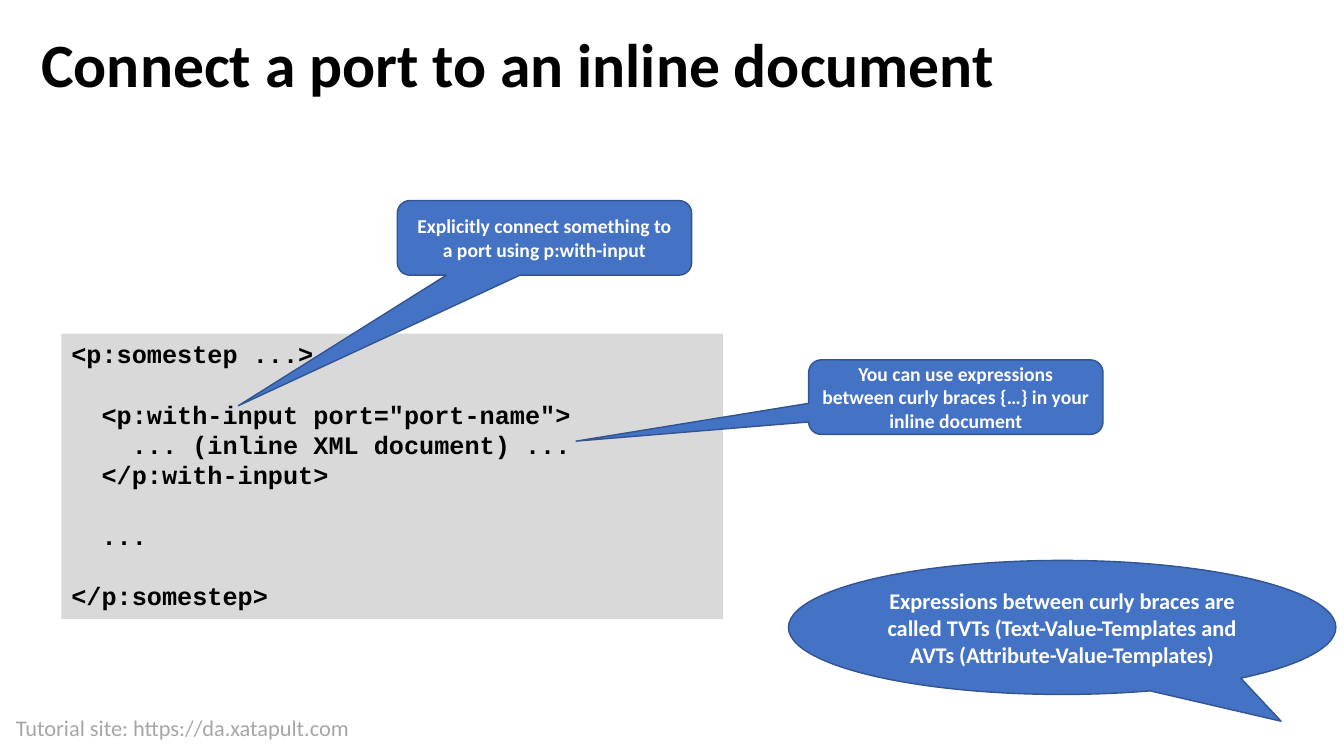
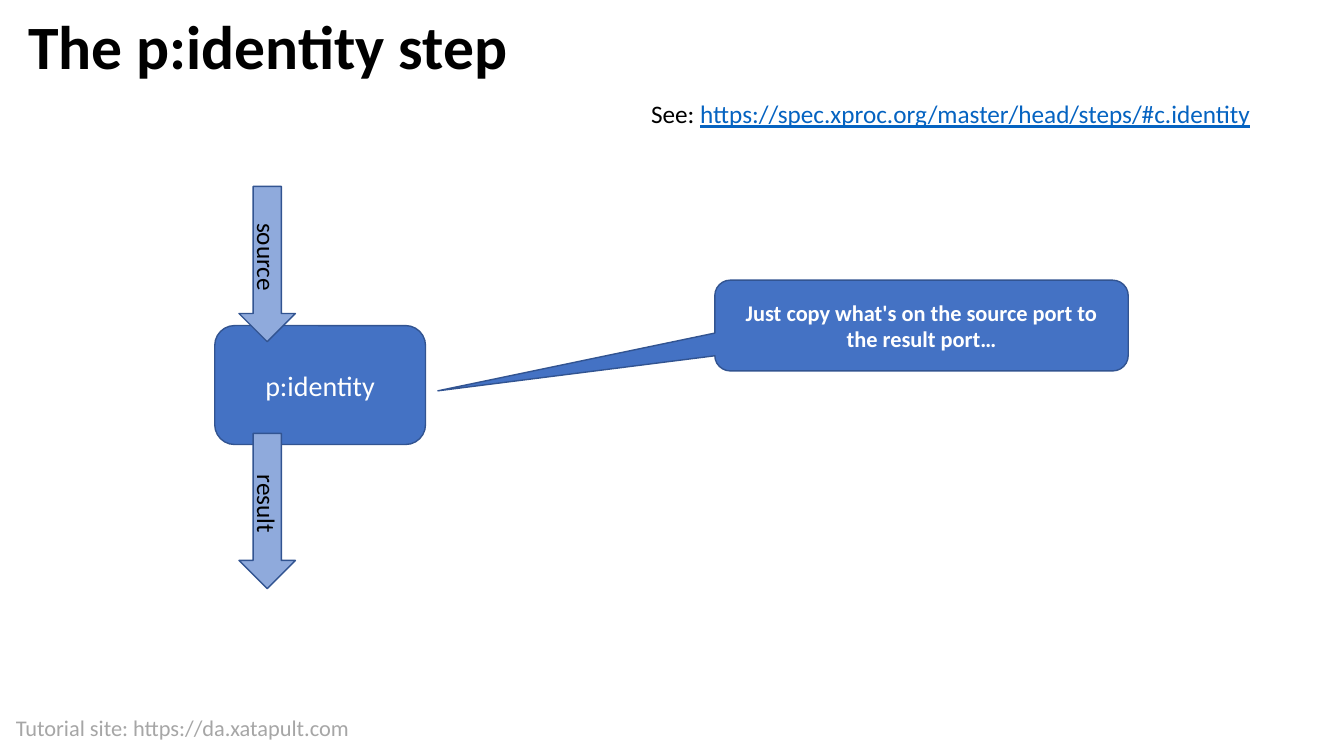
import pptx
import pptx.dml.color
import pptx.enum.shapes
import pptx.enum.text
import pptx.util

Inches = pptx.util.Inches
Pt = pptx.util.Pt
SHAPE = pptx.enum.shapes.MSO_SHAPE
ALIGN = pptx.enum.text.PP_ALIGN
ANCHOR = pptx.enum.text.MSO_ANCHOR
AUTO_SIZE = pptx.enum.text.MSO_AUTO_SIZE

BLACK, WHITE, GREY = "000000", "FFFFFF", "A6A6A6"
BLUE, LIGHT_BLUE, OUTLINE = "4472C4", "8FAADC", "325491"
CODE_FILL, LINK = "D9D9D9", "0563C1"
BODY_FONT, CODE_FONT = "Calibri", "Courier New"
CODE_SIZE = 18
CODE_GAP = CODE_SIZE * 1.2


def rgb(value):
    return pptx.dml.color.RGBColor.from_string(value)


def style(font, size, color, bold=False, name=BODY_FONT):
    font.name = name
    font.size = Pt(size)
    font.bold = bold
    font.color.rgb = rgb(color)


def add_title(slide, text, box):
    title = slide.shapes.title
    title.left, title.top, title.width, title.height = map(Inches, box)
    frame = title.text_frame
    frame.text = text
    frame.auto_size = AUTO_SIZE.NONE
    frame.vertical_anchor = ANCHOR.MIDDLE
    heading = frame.paragraphs[0]
    heading.alignment = ALIGN.LEFT
    heading.line_spacing = 0.9
    style(heading.runs[0].font, 44, BLACK, bold=True)


def add_text(slide, box, pieces, size):
    label = slide.shapes.add_textbox(*map(Inches, box))
    label.text_frame.word_wrap = True
    line = label.text_frame.paragraphs[0]
    for text, color in pieces:
        run = line.add_run()
        run.text = text
        style(run.font, size, color)
        run.font.underline = color == LINK
    return label


def add_master_footer(prs, slide):
    footer = add_text(slide, (0.06, 7.04, 4.41, 0.37),
                      [("Tutorial site: https://da.xatapult.com", GREY)], 16)
    footer.element.nvSpPr.cNvPr.set("id", "20")
    prs.slide_master.shapes.element.append(footer.element)


def add_filled(slide, kind, box, fill, adjustments=()):
    shape = slide.shapes.add_shape(kind, *map(Inches, box))
    shape.shadow.inherit = False
    shape.fill.solid()
    shape.fill.fore_color.rgb = rgb(fill)
    for index, value in enumerate(adjustments):
        shape.adjustments[index] = value
    shape.text_frame.word_wrap = True
    return shape


def add_block(slide, kind, box, text, size, fill=BLUE, color=WHITE,
              bold=False, adjustments=()):
    block = add_filled(slide, kind, box, fill, adjustments)
    block.line.color.rgb = rgb(OUTLINE)
    block.line.width = Pt(1)
    frame = block.text_frame
    frame.text = text
    frame.vertical_anchor = ANCHOR.MIDDLE
    frame.paragraphs[0].alignment = ALIGN.CENTER
    style(frame.paragraphs[0].runs[0].font, size, color, bold)
    return block


def add_callout(slide, box, text, size, pointer):
    add_block(slide, SHAPE.ROUNDED_RECTANGULAR_CALLOUT, box, text, size,
              bold=True, adjustments=(*pointer, 0.17))


def add_port_arrow(slide, top, name):
    arrow = add_block(slide, SHAPE.RIGHT_ARROW, (1.88, top, 1.54, 0.56),
                      name, 18, LIGHT_BLUE, BLACK)
    arrow.rotation = 90


def add_code(slide, box, groups):
    listing = add_filled(slide, SHAPE.RECTANGLE, box, CODE_FILL)
    listing.line.fill.background()
    frame = listing.text_frame
    frame.vertical_anchor = ANCHOR.TOP
    frame.text = "\n".join(line for group in groups for line in group)
    for paragraph in frame.paragraphs:
        paragraph.alignment = ALIGN.LEFT
        style(paragraph.runs[0].font, CODE_SIZE, BLACK, True, CODE_FONT)
    start = 0
    for group in groups[:-1]:
        start += len(group)
        frame.paragraphs[start].space_before = Pt(CODE_GAP)


def build_inline_document(slide):
    add_title(slide, "Connect a port to an inline document",
              (0.31, 0.2, 12.71, 0.94))
    add_code(slide, (0.61, 3.31, 6.56, 2.83), [
        ["<p:somestep ...>"],
        ['  <p:with-input port="port-name">',
         "    ... (inline XML document) ...",
         "  </p:with-input>"],
        ["  ..."],
        ["</p:somestep>"],
    ])
    add_callout(slide, (8.02, 3.57, 2.92, 0.74),
                "You can use expressions between curly braces {…} in your "
                "inline document", 14, (-1.29, 0.59))
    add_block(slide, SHAPE.OVAL_CALLOUT, (7.82, 5.56, 5.43, 1.33),
              "Expressions between curly braces are called TVTs "
              "(Text-Value-Templates and AVTs (Attribute-Value-Templates)",
              16, bold=True, adjustments=(0.4, 0.7))
    add_callout(slide, (3.94, 1.99, 2.92, 0.74),
                "Explicitly connect something to a port using p:with-input",
                14, (-1.04, 2.25))


def build_identity_step(slide):
    add_title(slide, "The p:identity step", (0.18, 0.11, 7.48, 0.77))
    add_block(slide, SHAPE.ROUNDED_RECTANGLE, (2.13, 3.23, 2.09, 1.18),
              "p:identity", 20)
    add_port_arrow(slide, 2.34, "source")
    add_port_arrow(slide, 4.79, "result")
    add_text(slide, (6.36, 0.93, 6.97, 1.01), [
        ("See: ", BLACK),
        ("https://spec.xproc.org/master/head/steps/#c.identity", LINK),
    ], 18)
    add_callout(slide, (7.09, 2.78, 4.1, 0.9),
                "Just copy what's on the source port to the result port…",
                16, (-1.17, 0.72))


def main():
    prs = pptx.Presentation()
    prs.slide_width = Inches(13.33)
    prs.slide_height = Inches(7.5)
    title_only = prs.slide_layouts[5]
    inline_document = prs.slides.add_slide(title_only)
    add_master_footer(prs, inline_document)
    build_inline_document(inline_document)
    build_identity_step(prs.slides.add_slide(title_only))
    prs.save("out.pptx")


if __name__ == "__main__":
    main()
